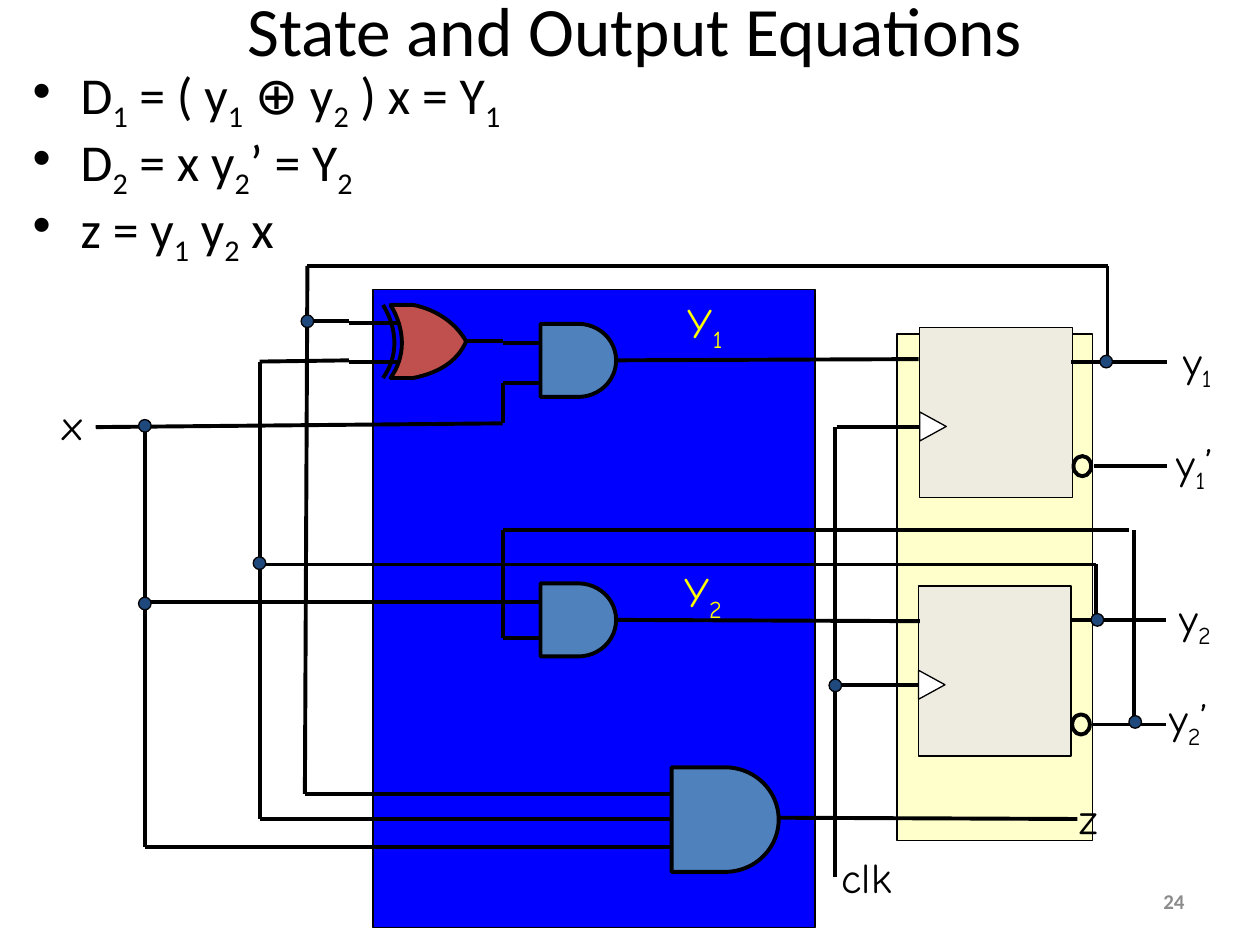
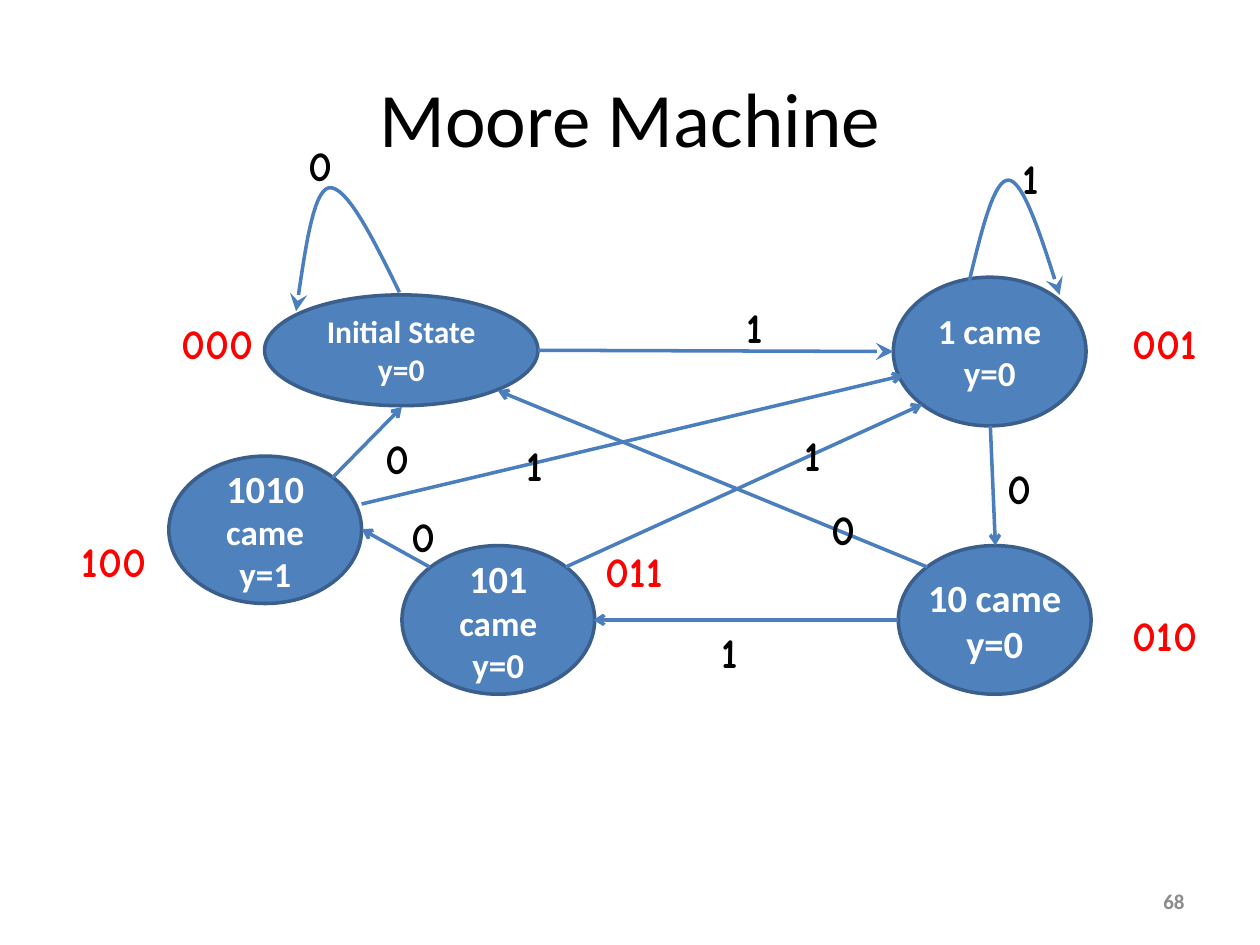
import pptx
import pptx.util
import pptx.dml.color
import pptx.enum.shapes
import pptx.enum.text
import pptx.oxml.ns
import lxml.etree

Inches = pptx.util.Inches
Pt = pptx.util.Pt
Kind = pptx.enum.shapes.MSO_SHAPE
Fit = pptx.enum.text.MSO_AUTO_SIZE
Align = pptx.enum.text.PP_ALIGN
Middle = pptx.enum.text.MSO_ANCHOR.MIDDLE
qn = pptx.oxml.ns.qn

BLACK, WHITE, RED, YELLOW = "000000", "FFFFFF", "FF0000", "FFFF00"
BLUE, NAVY, EDGE, ARROW = "4F81BD", "1F497D", "3A5F8C", "4B7EBC"
GREY, SAND = "8C8C8C", "EEECE1"
SANS, HAND = "Calibri", "Comic Neue"
BARE = dict.fromkeys(("margin_left", "margin_top", "margin_right", "margin_bottom"), 0)


def paint(fill, tone):
    if tone is None:
        fill.background()
    else:
        fill.solid()
        fill.fore_color.rgb = pptx.dml.color.RGBColor.from_string(tone)


def write(par, text, size, tone, face, bold=False):
    head, *rest = text.split("_")
    pieces = [(head, False)]
    for part in rest:
        pieces += [(part[0], True), (part[1:], False)]
    for piece, sub in pieces:
        if piece:
            run = par.add_run()
            run.text = piece
            for key, value in {"size": Pt(size), "name": face, "bold": bold}.items():
                setattr(run.font, key, value)
            paint(run.font.fill, tone)
            if sub:
                run._r.get_or_add_rPr().set("baseline", "-25000")


deck = pptx.Presentation()
deck.slide_width, deck.slide_height = Inches(10), Inches(7.5)
logic = deck.slides.add_slide(deck.slide_layouts[1])
moore = deck.slides.add_slide(deck.slide_layouts[5])

for page, name, size, box, num in (
    (logic, "State and Output Equations", 39.6, (0.25, -0.17, 9.58, 0.8), "24"),
    (moore, "Moore Machine", 44, (0.5, 0.3, 9, 1.25), "68"),
):
    title = page.shapes.title
    title.left, title.top, title.width, title.height = map(Inches, box)
    foot = page.shapes.add_textbox(*map(Inches, (7.17, 6.95, 2.33, 0.4)))
    for shape, text, pts, tone, side, bold in (
        (title, name, size, BLACK, Align.CENTER, False),
        (foot, num, 12, GREY, Align.RIGHT, True),
    ):
        frame = shape.text_frame
        for key, value in {"word_wrap": True, "auto_size": Fit.NONE, "vertical_anchor": Middle}.items():
            setattr(frame, key, value)
        frame.paragraphs[0].alignment = side
        write(frame.paragraphs[0], text, pts, tone, SANS, bold)

body = logic.placeholders[1]
body.left, body.top, body.width, body.height = map(Inches, (0.16, 0.5, 9.58, 1.58))
body.text_frame.auto_size = Fit.NONE
for i, text in enumerate(("D_1 = ( y_1 ⊕ y_2 ) x = Y_1", "D_2 = x y_2’ = Y_2", "z = y_1 y_2 x")):
    par = body.text_frame.add_paragraph() if i else body.text_frame.paragraphs[0]
    par.line_spacing = 0.8
    par.space_before = Pt(5.9 if i else 0)
    props = par._p.get_or_add_pPr()
    props.set("marL", str(Inches(0.38)))
    props.set("indent", str(-Inches(0.38)))
    lxml.etree.SubElement(props, qn("a:buChar")).set("char", "•")
    write(par, text, 29.6, BLACK, SANS)

parts = [
    (logic, Kind.RECTANGLE, (2.96, 2.3, 3.51, 5.06), "0000FF", BLACK, 0.75, None),
    (logic, Kind.RECTANGLE, (7.12, 2.65, 1.55, 4.02), "FFFFCC", BLACK, 0.75, None),
]
flops = ((7.3, 2.6), (7.29, 4.65))
for x, y in flops:
    parts.append((logic, Kind.RECTANGLE, (x, y, 1.21, 1.35), SAND, BLACK, 0.75, None))

wires = [
    [(x + start, y + dy), (x + end, y + dy)]
    for x, y in flops
    for start, end, dy in ((-0.66, 0, 0.79), (1.2, 1.96, 0.27), (1.38, 1.96, 1.1))
]
wires += [
    [(3.99, 2.72), (4.29, 2.72)],
    [(7.29, 2.85), (4.87, 2.86)],
    [(7.3, 4.93), (4.89, 4.92)],
    [(8.79, 2.86), (8.79, 2.11), (2.44, 2.11), (2.42, 6.3), (5.33, 6.3)],
    [(2.44, 2.55), (2.77, 2.55)],
    [(0.76, 3.39), (3.99, 3.36), (3.99, 3.04), (4.29, 3.04)],
    [(1.15, 3.41), (1.15, 6.72), (5.33, 6.72)],
    [(8.7, 4.92), (8.7, 4.48), (2.06, 4.48)],
    [(2.77, 2.86), (2.06, 2.87), (2.06, 6.5), (5.33, 6.5)],
    [(6.17, 6.49), (8.55, 6.5)],
    [(6.63, 3.39), (6.63, 6.96)],
    [(1.16, 4.78), (4.29, 4.78)],
    [(9, 5.73), (9, 4.21)],
    [(8.96, 4.21), (3.99, 4.21), (3.99, 5.06), (4.29, 5.06)],
]
for wire in wires:
    for a, b in zip(wire, wire[1:]):
        parts.append((logic, "line", a + b, None, BLACK, 2.25, None))

for x, y in flops:
    parts.append((logic, Kind.ISOSCELES_TRIANGLE, (x - 0.01, y + 0.68, 0.23, 0.21), WHITE, BLACK, 0.75, None))
    parts.append((logic, Kind.OVAL, (x + 1.22, y + 1.02, 0.14, 0.16), None, BLACK, 2.25, None))
for box in ((4.29, 2.57, 0.6, 0.58), (4.29, 4.63, 0.6, 0.58), (5.33, 6.09, 0.85, 0.83)):
    parts.append((logic, Kind.FLOWCHART_DELAY, box, BLUE, BLACK, 2.25, None))
for x, y in (
    (8.73, 2.82), (2.39, 2.5), (1.1, 3.33), (8.66, 4.87),
    (1.1, 4.74), (2.01, 4.42), (6.58, 5.39), (8.96, 5.68),
):
    parts.append((logic, Kind.OVAL, (x, y, 0.1, 0.1), NAVY, BLACK, 0.75, None))

states = {
    (2.1, 2.34, 2.17, 0.88): ("Initial ", 18, "State", 18, "y=0"),
    (7.09, 2.2, 1.53, 1.18): ("1 ", 20, "came", 20, "y=0"),
    (7.13, 4.33, 1.53, 1.18): ("10 ", 22, "came", 22, "y=0"),
    (3.19, 4.33, 1.53, 1.18): ("101 ", 22, "came", 20, "y=0"),
    (1.34, 3.62, 1.53, 1.17): ("1010 ", 22, "came", 20, "y=1"),
}
for box in states:
    parts.append((moore, Kind.OVAL, box, BLUE, EDGE, 2, None))
for ends, tip in (
    ((4.27, 2.78, 7.09, 2.79), "stealth"),
    ((7.86, 3.38, 7.9, 4.33), "arrow"),
    ((7.13, 4.92, 4.71, 4.92), "arrow"),
    ((7.36, 4.5, 3.95, 3.1), "arrow"),
    ((3.41, 4.5, 2.87, 4.2), "arrow"),
    ((2.64, 3.79, 3.19, 3.23), "arrow"),
    ((4.49, 4.5, 7.32, 3.21), "arrow"),
    ((2.87, 4, 7.17, 2.98), "arrow"),
):
    parts.append((moore, "line", ends, None, ARROW, 2, tip))

leads = [((2.77, 2.56), (3.38, 2.56)), ((2.77, 2.87), (3.38, 2.87)), ((3.99, 2.71), (3.38, 2.71))]
parts.append((logic, "path", [[tuple(map(Inches, p)) for p in lead] for lead in leads], None, BLACK, 2.25, None))
curves = (
    (logic, [
        ((3.7, 2.71), (3.63, 2.87), (3.48, 2.96), (3.28, 3)),
        ((3.1, 3), (3.22, 2.83), (3.22, 2.62), (3.1, 2.42)),
        ((3.28, 2.42), (3.48, 2.46), (3.63, 2.58), (3.7, 2.71)),
    ], "C0504D", BLACK, 2.25, None),
    (logic, [((3.04, 3), (3.16, 2.83), (3.16, 2.62), (3.04, 2.42))], None, BLACK, 2.25, None),
    (moore, [
        ((3.17, 2.32), (2.96, 1.89), (2.75, 1.47), (2.61, 1.49)),
        ((2.61, 1.49), (2.48, 1.52), (2.42, 2), (2.35, 2.47)),
    ], None, ARROW, 2, "stealth"),
    (moore, [
        ((7.69, 2.24), (7.79, 1.83), (7.89, 1.41), (8.01, 1.43)),
        ((8.01, 1.43), (8.13, 1.45), (8.27, 1.9), (8.41, 2.34)),
    ], None, ARROW, 2, "stealth"),
)
for page, arcs, *style in curves:
    dots = []
    for arc in arcs:
        for t in (step / 16 for step in range(17)):
            mix = ((1 - t) ** 3, 3 * t * (1 - t) ** 2, 3 * t * t * (1 - t), t ** 3)
            dots.append(tuple(Inches(sum(m * p[k] for m, p in zip(mix, arc))) for k in (0, 1)))
    parts.append((page, "path", [dots], *style))

for page, kind, box, fill, edge, weight, tip in parts:
    if kind == "line":
        shape = page.shapes.add_connector(pptx.enum.shapes.MSO_CONNECTOR.STRAIGHT, *map(Inches, box))
    elif kind == "path":
        pen = page.shapes.build_freeform(*box[0][0], scale=1.0)
        for i, dots in enumerate(box):
            if i:
                pen.move_to(*dots[0])
            pen.add_line_segments(dots[1:], close=fill is not None)
        shape = pen.convert_to_shape()
    else:
        shape = page.shapes.add_shape(kind, *map(Inches, box))
    paint(shape.line.fill, edge)
    shape.line.width = Pt(weight)
    if tip:
        line = shape._element.spPr.find(qn("a:ln"))
        head = lxml.etree.SubElement(line, qn("a:tailEnd"))
        grade = "lg" if tip == "stealth" else "med"
        for key, value in {"type": tip, "w": grade, "len": grade}.items():
            head.set(key, value)
    if kind == "line":
        lxml.etree.SubElement(shape._element.spPr, qn("a:effectLst"))
        continue
    shape.shadow.inherit = False
    paint(shape.fill, fill)
    if kind == Kind.ISOSCELES_TRIANGLE:
        shape.rotation = 90
    if kind == Kind.OVAL and box in states:
        lead, big, tail, small, out = states[box]
        frame = shape.text_frame
        for key, value in {**BARE, "word_wrap": True, "vertical_anchor": Middle}.items():
            setattr(frame, key, value)
        first, last = frame.paragraphs[0], frame.add_paragraph()
        first.alignment = last.alignment = Align.CENTER
        write(first, lead, big, WHITE, SANS, True)
        write(first, tail, small, WHITE, SANS, True)
        write(last, out, small, WHITE, SANS, True)

labels = []
for text, x, y, wide, tone in (
    ("Y_1", 5.46, 2.35, 0.32, YELLOW), ("Y_2", 5.43, 4.49, 0.35, YELLOW),
    ("y_1", 9.39, 2.66, 0.28, BLACK), ("y_1’", 9.34, 3.47, 0.34, BLACK),
    ("y_2", 9.36, 4.7, 0.31, BLACK), ("y_2’", 9.28, 5.5, 0.37, BLACK),
    ("x", 0.5, 3.16, 0.2, BLACK), ("z", 8.57, 6.29, 0.18, BLACK),
    ("clk", 6.68, 6.76, 0.44, BLACK),
):
    labels.append((logic, text, (x, y, wide, 0.4), 24, tone, False, BARE))
for text, x, y in (
    ("0", 2.35, 1.06), ("1", 5.83, 2.34), ("1", 8.02, 1.16), ("0", 7.9, 3.62),
    ("0", 6.5, 3.95), ("1", 5.63, 4.92), ("0", 3.17, 4), ("0", 2.96, 3.38),
    ("1", 6.29, 3.36), ("1", 4.08, 3.44), ("000", 1.34, 2.47), ("001", 8.89, 2.47),
    ("010", 8.89, 4.79), ("011", 4.71, 4.28), ("100", 0.55, 4.2),
):
    code = len(text) == 3
    box = (x, y, 0.82 if code else 0.41, 0.5)
    labels.append((moore, text, box, 24, RED if code else BLACK, True, {}))

for page, text, box, size, tone, bold, inset in labels:
    frame = page.shapes.add_textbox(*map(Inches, box)).text_frame
    for key, value in {**inset, "word_wrap": False, "auto_size": Fit.SHAPE_TO_FIT_TEXT}.items():
        setattr(frame, key, value)
    write(frame.paragraphs[0], text, size, tone, HAND, bold)

deck.save("out.pptx")
